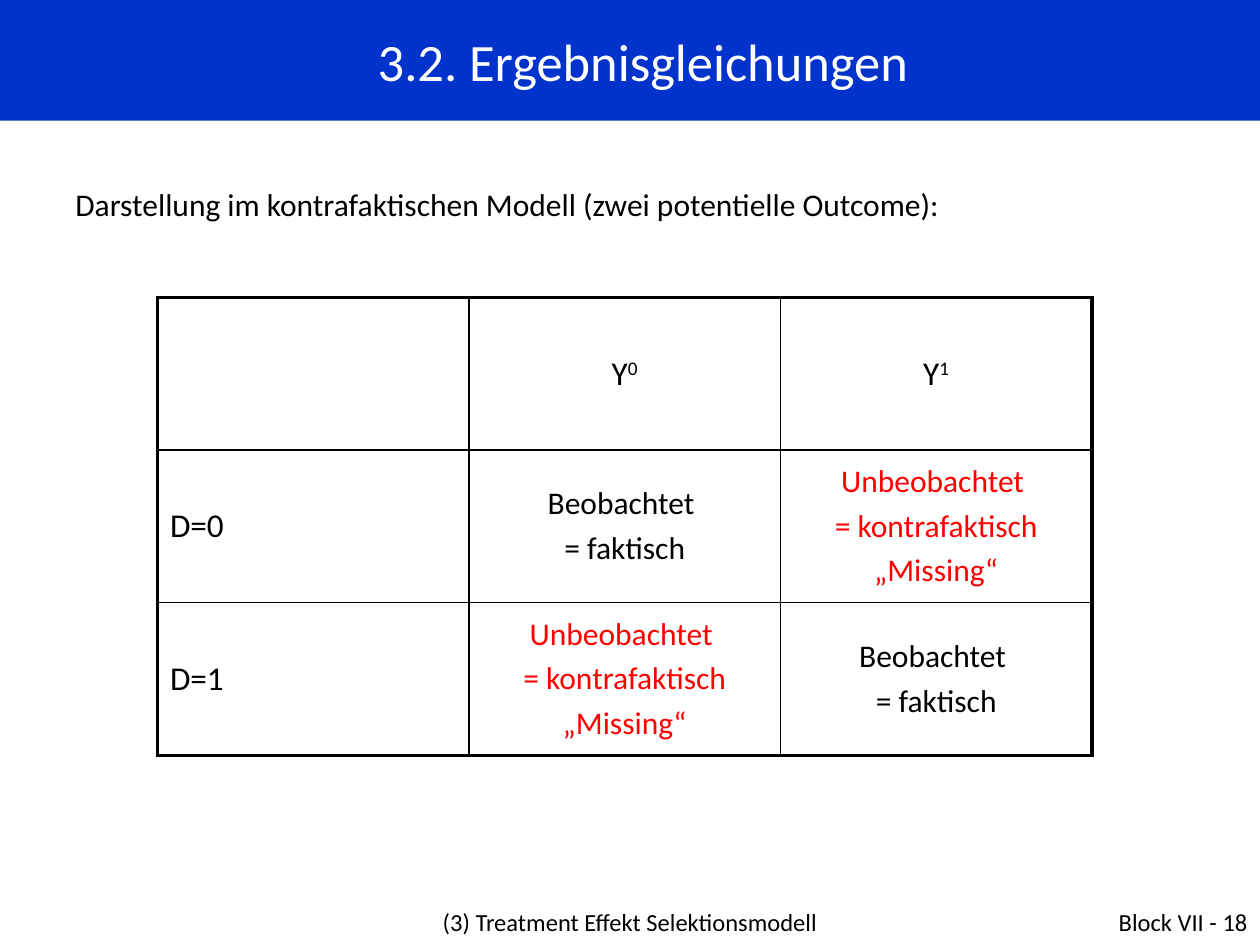
import pptx
import pptx.dml.color
import pptx.enum.text
import pptx.oxml
import pptx.oxml.ns
import pptx.util

Pt = pptx.util.Pt
Align = pptx.enum.text.PP_ALIGN
Anchor = pptx.enum.text.MSO_ANCHOR

BLACK = pptx.dml.color.RGBColor(0x00, 0x00, 0x00)
WHITE = pptx.dml.color.RGBColor(0xFF, 0xFF, 0xFF)
RED = pptx.dml.color.RGBColor(0xFF, 0x00, 0x00)
BLUE = pptx.dml.color.RGBColor(0x00, 0x33, 0xCC)

FONT = "Calibri"
COLUMN_WIDTH, ROW_HEIGHT = 178, 87.2
OUTER_BORDER, INNER_BORDER = 2.25, 1

OBSERVED = ["Beobachtet ", "= faktisch"]
MISSING = ["Unbeobachtet ", "= kontrafaktisch", "„Missing“"]
OUTCOMES = [
    ["D=0", OBSERVED, MISSING],
    ["D=1", MISSING, OBSERVED],
]


def format_paragraph(paragraph, size, color=BLACK, alignment=Align.LEFT, space_before=0):
    paragraph.alignment = alignment
    paragraph.space_before = Pt(space_before)
    paragraph.font.name = FONT
    paragraph.font.size = Pt(size)
    paragraph.font.color.rgb = color


def add_title(slide, text):
    title = slide.shapes.title
    title.left, title.top, title.width, title.height = Pt(0), Pt(0), Pt(720), Pt(69)
    title.fill.solid()
    title.fill.fore_color.rgb = BLUE
    frame = title.text_frame
    frame.text = text
    frame.auto_size = pptx.enum.text.MSO_AUTO_SIZE.NONE
    frame.vertical_anchor = Anchor.MIDDLE
    paragraph = frame.paragraphs[0]
    format_paragraph(paragraph, 30, WHITE, Align.CENTER)
    # Hanging indent shifts the centred title slightly to the right
    properties = paragraph._p.get_or_add_pPr()
    properties.set("marL", str(Pt(37.5)))
    properties.set("indent", str(Pt(-22.5)))


def add_text(slide, text, left, top, width, height, size, alignment=Align.LEFT):
    box = slide.shapes.add_textbox(Pt(left), Pt(top), Pt(width), Pt(height))
    box.text_frame.word_wrap = True
    box.text_frame.text = text
    format_paragraph(box.text_frame.paragraphs[0], size, alignment=alignment)


def set_borders(cell, widths):
    properties = cell._tc.get_or_add_tcPr()
    for position, (side, width) in enumerate(widths.items()):
        line = pptx.oxml.parse_xml(
            f'<a:{side} {pptx.oxml.ns.nsdecls("a")} w="{Pt(width)}">'
            f'<a:solidFill><a:srgbClr val="{BLACK}"/></a:solidFill></a:{side}>'
        )
        properties.insert(position, line)


def fill_outcome(cell, lines):
    cell.text = "\n".join(lines)
    color = RED if lines is MISSING else BLACK
    for paragraph in cell.text_frame.paragraphs:
        format_paragraph(paragraph, 18, color, Align.CENTER, space_before=3.6)


def fill_header(cell, index):
    paragraph = cell.text_frame.paragraphs[0]
    format_paragraph(paragraph, 19, alignment=Align.CENTER, space_before=3.8)
    paragraph.add_run().text = "Y"
    superscript = paragraph.add_run()
    superscript.text = str(index)
    superscript.font._element.set("baseline", "30000")


def add_outcome_table(slide):
    size = len(OUTCOMES) + 1
    frame = slide.shapes.add_table(size, size, Pt(90), Pt(170),
                                   Pt(size * COLUMN_WIDTH), Pt(size * ROW_HEIGHT))
    table = frame.table
    table.first_row = table.horz_banding = False
    for column in table.columns:
        column.width = Pt(COLUMN_WIDTH)
    for row in table.rows:
        row.height = Pt(ROW_HEIGHT)

    # Plain cells with a thick outer frame
    last = size - 1
    for row in range(size):
        for column in range(size):
            cell = table.cell(row, column)
            cell.vertical_anchor = Anchor.MIDDLE
            cell.fill.background()
            on_edge = {"lnL": column == 0, "lnR": column == last,
                       "lnT": row == 0, "lnB": row == last}
            set_borders(cell, {side: OUTER_BORDER if outer else INNER_BORDER
                               for side, outer in on_edge.items()})

    # Header row, then one row per treatment status
    for index in range(last):
        fill_header(table.cell(0, index + 1), index)
    for row, (label, *outcomes) in enumerate(OUTCOMES, start=1):
        label_cell = table.cell(row, 0)
        label_cell.text = label
        format_paragraph(label_cell.text_frame.paragraphs[0], 19, space_before=3.8)
        for column, lines in enumerate(outcomes, start=1):
            fill_outcome(table.cell(row, column), lines)


def main():
    presentation = pptx.Presentation()
    presentation.slide_width, presentation.slide_height = Pt(720), Pt(540)
    slide = presentation.slides.add_slide(presentation.slide_layouts[5])

    add_title(slide, "3.2. Ergebnisgleichungen")
    add_text(slide, "Darstellung im kontrafaktischen Modell (zwei potentielle Outcome):",
             36, 102, 642, 29, 18)
    add_outcome_table(slide)

    # Footer
    add_text(slide, "(3) Treatment Effekt Selektionsmodell",
             174, 515, 372, 37, 14, Align.CENTER)
    add_text(slide, "Block VII - 18", 552, 515, 168, 37, 14, Align.RIGHT)

    presentation.save("out.pptx")


if __name__ == "__main__":
    main()
